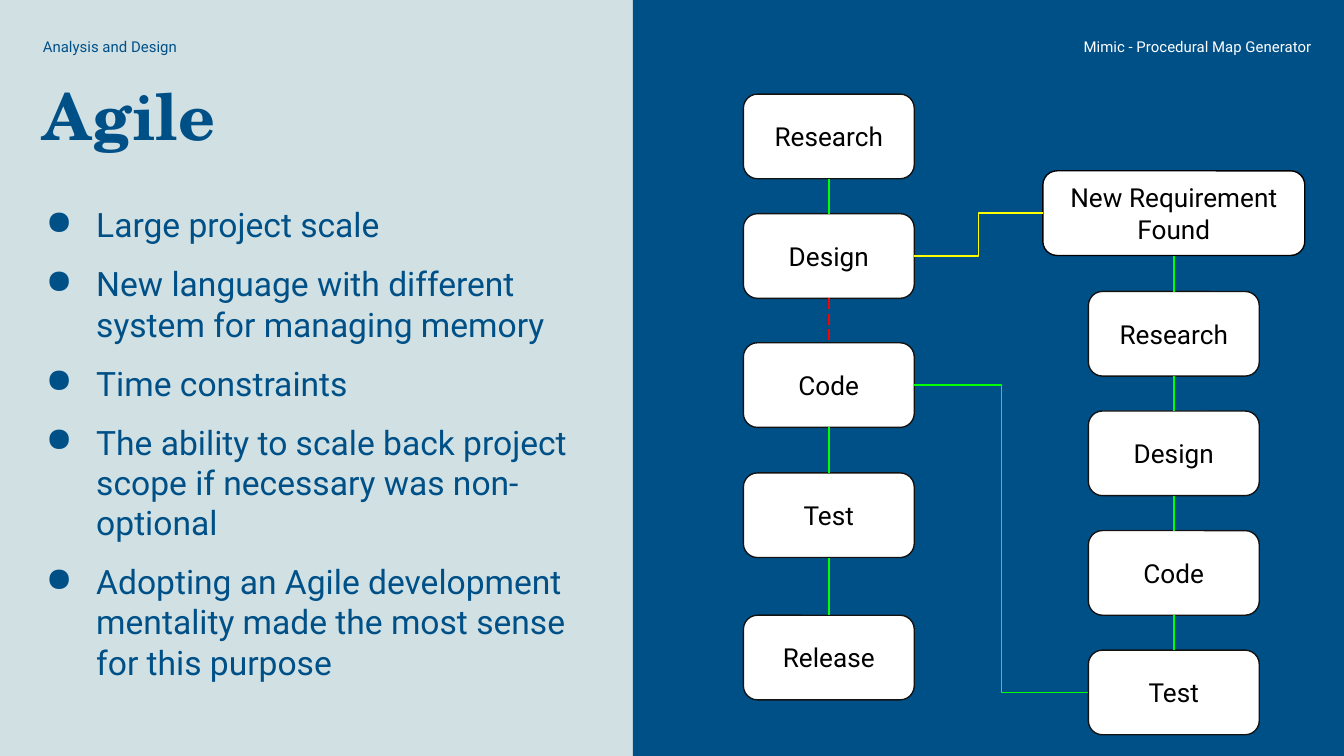
from dataclasses import dataclass
from itertools import pairwise
from typing import Optional

from lxml.etree import SubElement
from pptx import Presentation
from pptx.dml.color import RGBColor
from pptx.enum.dml import MSO_LINE
from pptx.enum.shapes import MSO_CONNECTOR as Link, MSO_SHAPE as Preset
from pptx.enum.text import MSO_ANCHOR as Anchor, PP_ALIGN as Align
from pptx.oxml.ns import qn
from pptx.util import Cm, Pt

COLORS = {
    "pale": "D0E0E3",
    "navy": "005088",
    "white": "FFFFFF",
    "black": "000000",
    "outline": "121212",
    "green": "00FF00",
    "yellow": "FFFF00",
    "red": "FF0000",
}
BODY_FONT = "Roboto"
TITLE_FONT = "TeX Gyre Schola"
TOP, LEFT, BOTTOM, RIGHT = range(4)
STEP_WIDTH, STEP_HEIGHT = 3.23, 1.6
MAIN_LEFT, SIDE_LEFT = 14.05, 20.57
SIDE_TOP, SIDE_PITCH = 5.51, 2.26

REASONS = [
    "Large project scale",
    "New language with different system for managing memory",
    "Time constraints",
    "The ability to scale back project scope if necessary was non-optional",
    "Adopting an Agile development mentality made the most sense for this purpose",
]


@dataclass
class Step:
    label: str
    left: float
    top: float
    width: float = STEP_WIDTH
    outline: str = "outline"


@dataclass
class Label:
    text: str
    left: float
    top: float
    width: float
    height: float
    size: float
    color: str = "navy"
    font: str = BODY_FONT
    bold: bool = False
    align: Align = Align.LEFT
    anchor: Anchor = Anchor.MIDDLE
    line_spacing: Optional[float] = 1.15


MAIN_STEPS = [
    Step("Research", MAIN_LEFT, 1.78),
    Step("Design", MAIN_LEFT, 4.04),
    Step("Code", MAIN_LEFT, 6.48),
    Step("Test", MAIN_LEFT, 8.94),
    Step("Release", MAIN_LEFT, 11.63),
]
SIDE_STEPS = [Step("New Requirement Found", 19.71, 3.23, 4.95, "black")] + [
    Step(name, SIDE_LEFT, SIDE_TOP + row * SIDE_PITCH)
    for row, name in enumerate(["Research", "Design", "Code", "Test"])
]
HEADINGS = [
    Label("Agile", 0.56, 1.57, 8.76, 1.6, 34.5, font=TITLE_FONT, bold=True,
          anchor=Anchor.BOTTOM, line_spacing=0.9),
    Label("Analysis and Design", 0.56, 0.57, 5.16, 0.58, 8),
    Label("Mimic - Procedural Map Generator", 19.68, 0.57, 5.36, 0.58, 8,
          color="white", align=Align.RIGHT),
]
REASON_LIST = Label("\n".join(REASONS), 0.3, 3.61, 11.3, 10.13, 18,
                    anchor=Anchor.TOP, line_spacing=None)


def rgb(name: str) -> RGBColor:
    return RGBColor.from_string(COLORS[name])


def fill_text(frame, label: Label) -> None:
    frame.text = label.text
    frame.word_wrap = True
    frame.vertical_anchor = label.anchor
    frame.margin_left = frame.margin_right = Cm(0.25)
    frame.margin_top = frame.margin_bottom = Cm(0.25)
    for paragraph in frame.paragraphs:
        paragraph.alignment = label.align
        paragraph.line_spacing = label.line_spacing
        for run in paragraph.runs:
            run.font.name = label.font
            run.font.size = Pt(label.size)
            run.font.bold = label.bold
            run.font.color.rgb = rgb(label.color)


def add_label(slide, label: Label):
    box = slide.shapes.add_textbox(
        Cm(label.left), Cm(label.top), Cm(label.width), Cm(label.height))
    fill_text(box.text_frame, label)
    return box.text_frame


def add_bullets(frame, color: str) -> None:
    for index, paragraph in enumerate(frame.paragraphs):
        properties = paragraph._p.get_or_add_pPr()
        properties.set("marL", str(Cm(1.27)))
        properties.set("indent", str(Cm(-0.95)))
        bullet_color = SubElement(properties, qn("a:buClr"))
        SubElement(bullet_color, qn("a:srgbClr"), val=COLORS[color])
        SubElement(properties, qn("a:buChar"), char="●")
        if index:
            paragraph.space_before = Pt(10)


def add_step(slide, step: Step):
    box = slide.shapes.add_shape(
        Preset.ROUNDED_RECTANGLE, Cm(step.left), Cm(step.top),
        Cm(step.width), Cm(STEP_HEIGHT))
    box.shadow.inherit = False
    box.fill.solid()
    box.fill.fore_color.rgb = rgb("white")
    box.line.color.rgb = rgb(step.outline)
    box.line.width = Pt(0.75)
    fill_text(box.text_frame, Label(
        step.label, step.left, step.top, step.width, STEP_HEIGHT, 14,
        color="black", align=Align.CENTER, line_spacing=None))
    return box


def join(slide, start, start_side: int, end, end_side: int,
         color: str = "green", kind: Link = Link.STRAIGHT):
    connector = slide.shapes.add_connector(kind, 0, 0, 0, 0)
    connector.begin_connect(start, start_side)
    connector.end_connect(end, end_side)
    connector.line.color.rgb = rgb(color)
    connector.line.width = Pt(0.75)
    SubElement(connector._element.spPr, qn("a:effectLst"))
    return connector


def main() -> None:
    deck = Presentation()
    deck.slide_width, deck.slide_height = Cm(25.4), Cm(14.29)
    slide = deck.slides.add_slide(deck.slide_layouts[6])
    slide.background.fill.solid()
    slide.background.fill.fore_color.rgb = rgb("pale")

    panel = slide.shapes.add_shape(
        Preset.RECTANGLE, Cm(11.96), 0, Cm(13.44), deck.slide_height)
    panel.shadow.inherit = False
    panel.fill.solid()
    panel.fill.fore_color.rgb = rgb("navy")
    panel.line.fill.background()

    for heading in HEADINGS:
        add_label(slide, heading)
    add_bullets(add_label(slide, REASON_LIST), REASON_LIST.color)

    main_flow = [add_step(slide, step) for step in MAIN_STEPS]
    side_flow = [add_step(slide, step) for step in SIDE_STEPS]
    research, design, code, *_ = main_flow
    new_requirement, *_, retest = side_flow

    for upper, lower in [*pairwise(main_flow), *pairwise(side_flow)]:
        if upper is design:
            broken_link = join(slide, upper, BOTTOM, lower, TOP, "red")
            broken_link.line.dash_style = MSO_LINE.LONG_DASH
        else:
            join(slide, upper, BOTTOM, lower, TOP)
    join(slide, design, RIGHT, new_requirement, LEFT, "yellow", Link.ELBOW)
    join(slide, retest, LEFT, code, RIGHT, "green", Link.ELBOW)

    deck.save("out.pptx")


if __name__ == "__main__":
    main()
